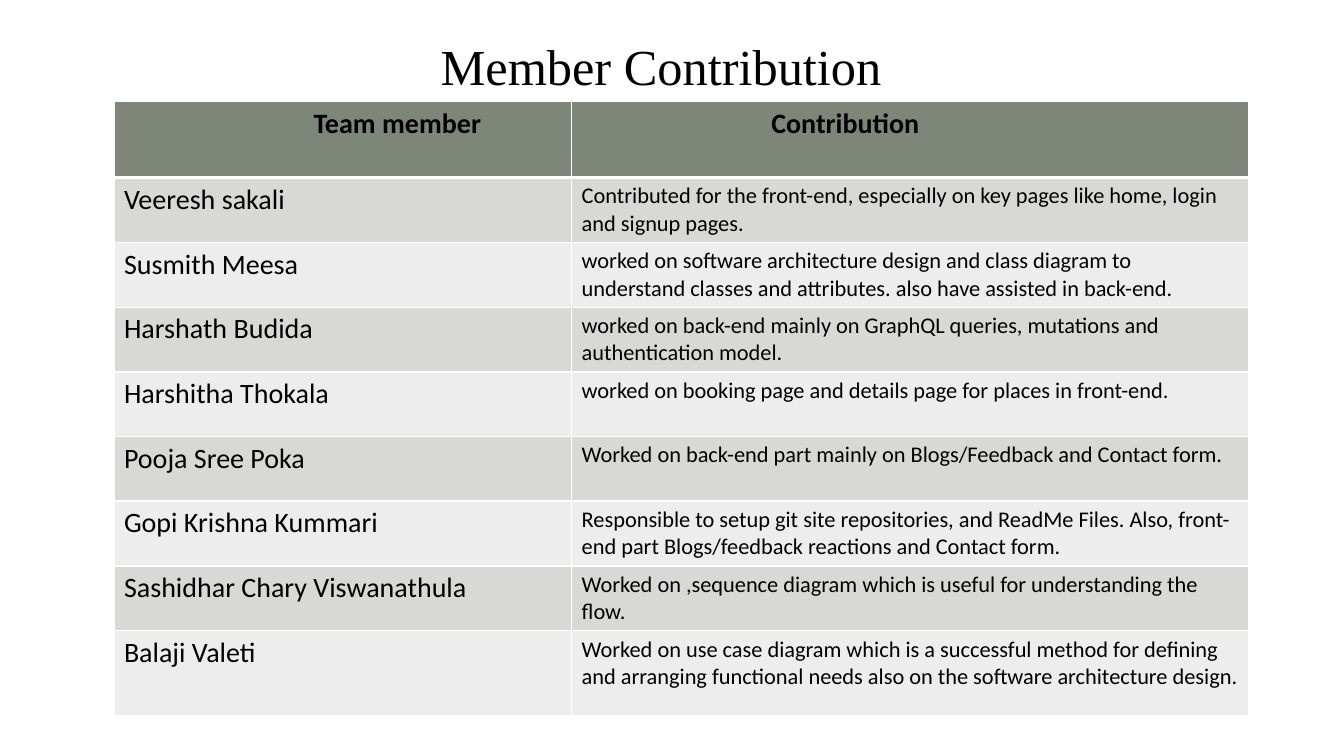
from lxml.etree import SubElement
from pptx import Presentation
from pptx.dml.color import RGBColor
from pptx.enum.text import MSO_ANCHOR, PP_ALIGN
from pptx.oxml.ns import qn
from pptx.util import Inches, Pt

TITLE = "Member Contribution"
HEADERS = ("Team member", "Contribution")
MEMBERS = [
    ("Veeresh sakali",
     "Contributed for the front-end, especially on key pages like home, login and signup pages."),
    ("Susmith Meesa",
     "worked on software architecture design and class diagram to understand classes and "
     "attributes. also have assisted in back-end."),
    ("Harshath Budida",
     "worked on back-end mainly on GraphQL queries, mutations and authentication model."),
    ("Harshitha Thokala",
     "worked on booking page and details page for places in front-end."),
    ("Pooja Sree Poka",
     "Worked on back-end part mainly on Blogs/Feedback and Contact form."),
    ("Gopi Krishna Kummari",
     "Responsible to setup git site repositories, and ReadMe Files. Also, front-end part "
     "Blogs/feedback reactions and Contact form."),
    ("Sashidhar Chary Viswanathula",
     "Worked on ,sequence diagram which is useful for understanding the flow."),
    ("Balaji Valeti",
     "Worked on use case diagram which is a successful method for defining and arranging "
     "functional needs also on the software architecture design."),
]

COLUMN_WIDTHS = (4.54, 6.71)
HEADER_HEIGHT, MEMBER_HEIGHT, LAST_HEIGHT = 0.75, 0.64, 0.84
HEADER_FILL = "7E8679"
BAND_FILLS = ("D8D9D7", "ECEDEC")
HEADER_FORMAT = {"name": "Calibri", "size": Pt(20), "bold": True}
COLUMN_FORMATS = (
    {"name": "Calibri", "size": Pt(20), "bold": False},
    {"name": "Calibri", "size": Pt(16), "bold": False},
)
TITLE_FORMAT = {"name": "Times New Roman", "size": Pt(36), "bold": False}


def color(value):
    return RGBColor.from_string(value)


def write(target, text, font_format):
    paragraph = target.text_frame.paragraphs[0]
    paragraph.alignment = PP_ALIGN.LEFT
    run = paragraph.add_run()
    run.text = text
    for name, value in font_format.items():
        setattr(run.font, name, value)
    run.font.color.rgb = color("000000")


def set_borders(cell, widths):
    properties = cell._tc.get_or_add_tcPr()
    for side, width in widths.items():
        line = SubElement(properties, qn(f"a:ln{side}"), w=str(Pt(width)))
        fill = SubElement(line, qn("a:solidFill"))
        SubElement(fill, qn("a:srgbClr"), val="FFFFFF")


def add_title(slide):
    title = slide.shapes.title
    title.left, title.top = Inches(2.74), Inches(0.3)
    title.width, title.height = Inches(7.86), Inches(0.71)
    frame_format = {
        "word_wrap": True,
        "vertical_anchor": MSO_ANCHOR.TOP,
        "margin_left": Inches(1.63),
        "margin_top": Inches(0.05),
    }
    for name, value in frame_format.items():
        setattr(title.text_frame, name, value)
    write(title, TITLE, TITLE_FORMAT)
    title.text_frame.paragraphs[0].line_spacing = 1.0


def add_member_table(slide):
    rows = [HEADERS, *MEMBERS]
    heights = [HEADER_HEIGHT] + [MEMBER_HEIGHT] * (len(MEMBERS) - 1) + [LAST_HEIGHT]
    table = slide.shapes.add_table(
        len(rows), len(HEADERS), Inches(1.13), Inches(1.01),
        Inches(sum(COLUMN_WIDTHS)), Inches(sum(heights))).table
    for column, width in zip(table.columns, COLUMN_WIDTHS):
        column.width = Inches(width)
    for row_index, (texts, height) in enumerate(zip(rows, heights)):
        table.rows[row_index].height = Inches(height)
        is_header = row_index == 0
        fill = HEADER_FILL if is_header else BAND_FILLS[(row_index - 1) % 2]
        top = 3 if row_index == 1 else 1
        bottom = 3 if is_header else 1
        for column_index, text in enumerate(texts):
            cell = table.cell(row_index, column_index)
            set_borders(cell, {"L": 1, "R": 1, "T": top, "B": bottom})
            cell.fill.solid()
            cell.fill.fore_color.rgb = color(fill)
            if is_header:
                cell.margin_left = Inches(1.98)
            write(cell, text, HEADER_FORMAT if is_header else COLUMN_FORMATS[column_index])


def main():
    presentation = Presentation()
    presentation.slide_width = Inches(13.33)
    presentation.slide_height = Inches(7.5)
    slide = presentation.slides.add_slide(presentation.slide_layouts[5])
    add_title(slide)
    add_member_table(slide)
    presentation.save("out.pptx")


if __name__ == "__main__":
    main()
